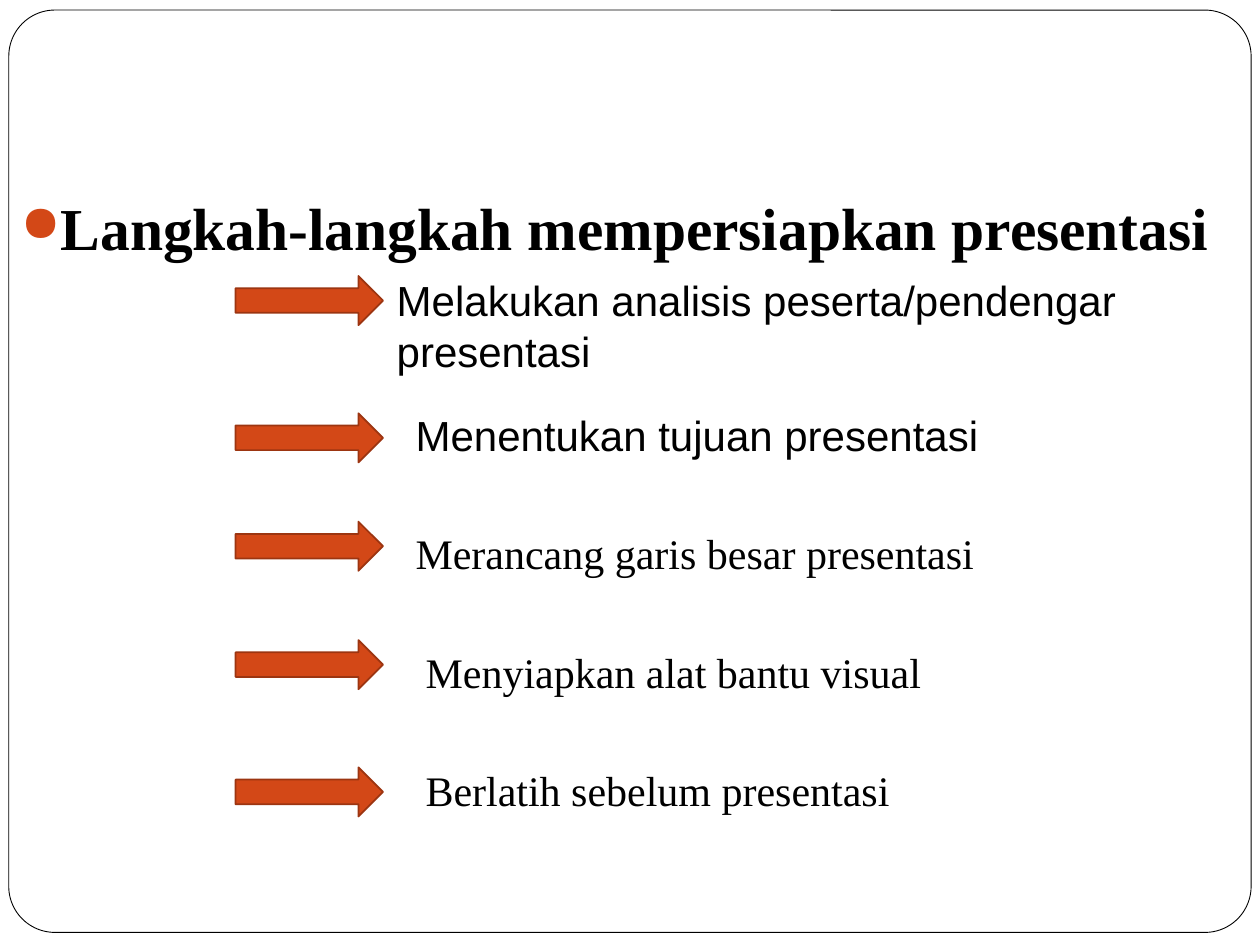
from pptx import Presentation
from pptx.dml.color import RGBColor
from pptx.enum.shapes import MSO_SHAPE
from pptx.enum.text import MSO_ANCHOR, PP_ALIGN
from pptx.util import Inches, Pt
from lxml.etree import SubElement
from pptx.oxml.ns import qn

SERIF, SANS = "Times New Roman", "Arial"
BLACK, WHITE, ORANGE, RUST = "000000", "FFFFFF", "D34817", "9C3511"
ARROW_LEFT, ARROW_WIDTH, ARROW_HEIGHT = 1.87, 1.17, 0.39

# Arrow top, text, font, alignment, anchor, text box (left, top, width, height)
STEPS = [
    (2.19, "Melakukan analisis peserta/pendengar presentasi", SANS,
     PP_ALIGN.LEFT, MSO_ANCHOR.BOTTOM, (3.05, 1.72, 6.95, 1.31)),
    (3.28, "Menentukan tujuan presentasi", SANS,
     PP_ALIGN.JUSTIFY, MSO_ANCHOR.MIDDLE, (3.2, 3.2, 5.63, 0.5)),
    (4.14, "Merancang garis besar presentasi", SERIF,
     PP_ALIGN.LEFT, MSO_ANCHOR.MIDDLE, (3.2, 4.14, 5.63, 0.5)),
    (5.08, "Menyiapkan alat bantu visual", SERIF,
     PP_ALIGN.LEFT, MSO_ANCHOR.MIDDLE, (3.28, 5.08, 5.63, 0.5)),
    (6.09, "Berlatih sebelum presentasi", SERIF,
     PP_ALIGN.LEFT, MSO_ANCHOR.MIDDLE, (3.28, 6.02, 5.63, 0.5)),
]


def color(value):
    return RGBColor.from_string(value)


def add_shape(page, kind, box, fill, line, width):
    shape = page.shapes.add_shape(kind, *map(Inches, box))
    shape.shadow.inherit = False
    shape.fill.solid()
    shape.fill.fore_color.rgb = color(fill)
    shape.line.color.rgb = color(line)
    shape.line.width = Pt(width)
    return shape


def add_text(page, box, text, font, size, align, anchor, bold=False):
    text_box = page.shapes.add_textbox(*map(Inches, box))
    frame = text_box.text_frame
    frame.word_wrap = True
    frame.vertical_anchor = anchor
    para = frame.paragraphs[0]
    para.text = text
    para.alignment = align
    para.font.name = font
    para.font.size = Pt(size)
    para.font.bold = bold
    para.font.color.rgb = color(BLACK)
    return frame


def add_frame(page, box):
    border = add_shape(page, MSO_SHAPE.ROUNDED_RECTANGLE, box, WHITE, BLACK, 0.5)
    border.adjustments[0] = 0.05


def add_title(page, box):
    frame = add_text(page, box, "Langkah-langkah mempersiapkan presentasi",
                     SERIF, 34, PP_ALIGN.CENTER, MSO_ANCHOR.TOP, bold=True)
    frame.margin_right = Inches(0.34)
    para = frame.paragraphs[0]
    para.line_spacing = 1.4
    para.space_before = Pt(5.8)
    # Hanging round bullet
    props = para._p.get_or_add_pPr()
    props.set("marL", str(Inches(0.3)))
    props.set("indent", str(Inches(-0.3)))
    bullet_color = SubElement(props, qn("a:buClr"))
    SubElement(bullet_color, qn("a:srgbClr"), val=ORANGE)
    SubElement(props, qn("a:buSzPct"), val="85000")
    SubElement(props, qn("a:buChar"), char="●")
    # Bullet settings come before the default run settings
    defaults = props.find(qn("a:defRPr"))
    if defaults is not None:
        props.append(defaults)


def add_step(page, arrow_top, text, font, align, anchor, box):
    arrow_box = (ARROW_LEFT, arrow_top, ARROW_WIDTH, ARROW_HEIGHT)
    add_shape(page, MSO_SHAPE.RIGHT_ARROW, arrow_box, ORANGE, RUST, 1)
    add_text(page, box, text, font, 24, align, anchor)


deck = Presentation()
deck.slide_width, deck.slide_height = Inches(10), Inches(7.5)
page = deck.slides.add_slide(deck.slide_layouts[6])

add_frame(page, (0.07, 0.08, 9.86, 7.32))
add_title(page, (0, 1.24, 10, 0.96))
for step in STEPS:
    add_step(page, *step)

deck.save("out.pptx")
